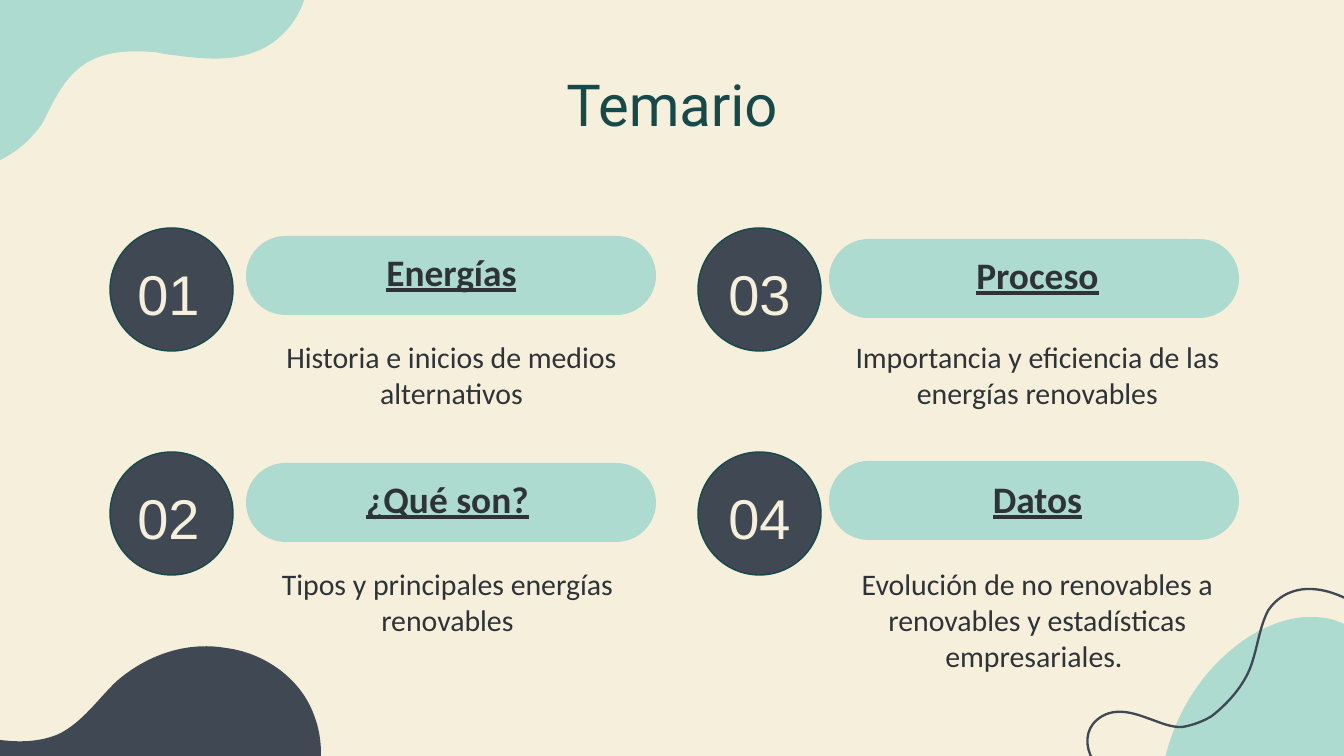
"""Build the "Temario" agenda slide: four numbered topics among organic blobs."""

from dataclasses import dataclass
from typing import Optional

from lxml.etree import SubElement
from pptx import Presentation
from pptx.dml.color import RGBColor
from pptx.enum.shapes import MSO_SHAPE as Preset
from pptx.enum.text import MSO_ANCHOR as Anchor, PP_ALIGN as Align
from pptx.oxml.ns import qn
from pptx.shapes.autoshape import Shape
from pptx.slide import Slide
from pptx.util import Emu, Pt

EMU_PER_PX = 914400 / 134.4

CREAM = RGBColor(0xF6, 0xEF, 0xDC)
MINT = RGBColor(0xAD, 0xDB, 0xD0)
SLATE = RGBColor(0x3F, 0x48, 0x53)
TEAL = RGBColor(0x16, 0x4A, 0x4A)
INK = RGBColor(0x2E, 0x33, 0x38)

BADGE_SIZE = 123
PILL_WIDTH, PILL_HEIGHT = 410, 79
TEXT_WIDTH, BODY_HEIGHT = 403, 75
NUMBER_WIDTH, NUMBER_HEIGHT = 99, 103


@dataclass(frozen=True)
class TextStyle:
    font: str
    size: int
    color: RGBColor
    bold: bool = False
    underline: bool = False
    anchor: Anchor = Anchor.TOP
    line_spacing: Optional[float] = None


@dataclass(frozen=True)
class Topic:
    number: str
    heading: str
    body: str
    badge: tuple[int, int]
    pill: tuple[int, int]
    number_left: int
    text_left: int
    heading_top: int
    body_top: int


@dataclass(frozen=True)
class Blob:
    """An outline of straight (x, y) and cubic (x1, y1, x2, y2, x, y) segments."""

    start: tuple[int, int]
    segments: tuple[tuple[int, ...], ...]
    color: RGBColor
    filled: bool = True


TITLE = TextStyle("Roboto", 31, TEAL)
NUMBER = TextStyle("Arial", 30, CREAM, anchor=Anchor.MIDDLE)
HEADING = TextStyle("Calibri", 20, INK, True, True, Anchor.MIDDLE, 0.8)
BODY = TextStyle("Calibri", 16, INK)

TOPICS = (
    Topic("01", "Energías", "Historia e inicios de medios alternativos",
          (110, 228), (246, 236), 119, 250, 236, 339),
    Topic("02", "¿Qué son?", "Tipos y principales energías renovables",
          (110, 452), (246, 463), 119, 246, 463, 566),
    Topic("03", "Proceso", "Importancia y eficiencia de las energías renovables",
          (698, 228), (829, 239), 710, 836, 239, 339),
    Topic("04", "Datos",
          "Evolución de no renovables a renovables y estadísticas empresariales. ",
          (698, 452), (829, 461), 710, 836, 463, 566),
)

BLOBS = (
    Blob((1313, 617), (
        (1312, 617, 1310, 617, 1309, 617),
        (1288, 617, 1266, 626, 1247, 638),
        (1204, 667, 1175, 712, 1164, 763),
        (1359, 763),
        (1374, 745, 1384, 724, 1386, 706),
        (1390, 659, 1360, 617, 1313, 617),
    ), MINT),
    Blob((314, 715), (
        (301, 679, 265, 653, 226, 648),
        (185, 641, 146, 656, 117, 681),
        (98, 699, 83, 722, 59, 734),
        (24, 749, -17, 738, -54, 728),
        (-73, 723, -94, 719, -113, 719),
        (-113, 789),
        (316, 789),
        (323, 763, 323, 738, 314, 715),
    ), SLATE),
    Blob((308, -28), (
        (306, -39, 304, -50, 298, -58),
        (255, -117, 172, -43, 122, -89),
        (99, -110, 93, -125, 55, -113),
        (24, -103, -1, -78, -7, -46),
        (-9, -30, -7, -12, -8, 5),
        (-8, 15, -9, 26, -15, 34),
        (-31, 60, -69, 65, -85, 91),
        (-101, 121, -75, 161, -43, 167),
        (-9, 172, 23, 151, 42, 124),
        (52, 105, 60, 85, 77, 70),
        (97, 52, 125, 50, 152, 52),
        (156, 52, 160, 53, 164, 54),
        (195, 58, 227, 63, 255, 52),
        (288, 40, 310, 5, 308, -28),
    ), MINT),
    Blob((1365, 609), (
        (1347, 598, 1329, 589, 1309, 589),
        (1292, 589, 1277, 597, 1268, 611),
        (1260, 627, 1258, 644, 1253, 660),
        (1247, 682, 1230, 702, 1212, 716),
        (1204, 721, 1194, 725, 1183, 727),
        (1171, 728, 1159, 722, 1147, 718),
        (1131, 712, 1112, 707, 1097, 720),
        (1085, 730, 1085, 747, 1093, 760),
        (1097, 766, 1103, 772, 1109, 778),
        (1117, 786, 1124, 796, 1128, 807),
        (1132, 822, 1132, 837, 1128, 853),
    ), SLATE, filled=False),
)


def px(length: float) -> Emu:
    return Emu(round(length * EMU_PER_PX))


def bend_segments(shape: Shape, segments: tuple[tuple[int, ...], ...]) -> None:
    """Turn the freeform's straight steps into cubic curves where a segment has handles."""
    steps = list(shape._element.iter(qn("a:lnTo")))
    for step, segment in zip(steps, segments):
        if len(segment) == 2:
            continue
        step.clear()
        curve = step.makeelement(qn("a:cubicBezTo"))
        for x, y in zip(segment[::2], segment[1::2]):
            SubElement(curve, qn("a:pt"), x=str(px(x) - shape.left), y=str(px(y) - shape.top))
        step.getparent().replace(step, curve)


def draw_blob(slide: Slide, blob: Blob) -> None:
    builder = slide.shapes.build_freeform(px(blob.start[0]), px(blob.start[1]))
    builder.add_line_segments([(px(segment[-2]), px(segment[-1])) for segment in blob.segments],
                              close=blob.filled)
    shape = builder.convert_to_shape()
    bend_segments(shape, blob.segments)
    shape.shadow.inherit = False
    if blob.filled:
        shape.fill.solid()
        shape.fill.fore_color.rgb = blob.color
        shape.line.fill.background()
    else:
        shape.fill.background()
        shape.line.color.rgb = blob.color
        shape.line.width = Pt(1.25)


def draw_preset(slide: Slide, preset: Preset, position: tuple[int, int],
                width: int, height: int, color: RGBColor) -> Shape:
    left, top = position
    shape = slide.shapes.add_shape(preset, px(left), px(top), px(width), px(height))
    shape.shadow.inherit = False
    shape.fill.solid()
    shape.fill.fore_color.rgb = color
    shape.line.fill.background()
    return shape


def draw_pill(slide: Slide, topic: Topic) -> None:
    pill = draw_preset(slide, Preset.ROUNDED_RECTANGLE, topic.pill,
                       PILL_WIDTH, PILL_HEIGHT, MINT)
    pill.adjustments[0] = 0.5


def draw_badge(slide: Slide, topic: Topic) -> None:
    badge = draw_preset(slide, Preset.OVAL, topic.badge, BADGE_SIZE, BADGE_SIZE, SLATE)
    badge.line.color.rgb = TEAL
    badge.line.width = Pt(0.75)


def draw_text(slide: Slide, text: str, left: int, top: int,
              width: int, height: int, style: TextStyle) -> None:
    frame = slide.shapes.add_textbox(px(left), px(top), px(width), px(height)).text_frame
    frame.margin_left = frame.margin_right = frame.margin_top = frame.margin_bottom = 0
    frame.word_wrap = True
    frame.vertical_anchor = style.anchor
    paragraph = frame.paragraphs[0]
    paragraph.text = text
    paragraph.alignment = Align.CENTER
    paragraph.line_spacing = style.line_spacing
    font = paragraph.font
    font.name, font.size = style.font, Pt(style.size)
    font.bold, font.underline = style.bold, style.underline
    font.color.rgb = style.color


def draw_topic_text(slide: Slide, topic: Topic) -> None:
    left = topic.text_left
    draw_text(slide, topic.heading, left, topic.heading_top, TEXT_WIDTH, PILL_HEIGHT, HEADING)
    draw_text(slide, topic.body, left, topic.body_top, TEXT_WIDTH, BODY_HEIGHT, BODY)
    draw_text(slide, topic.number, topic.number_left, topic.badge[1] + 14,
              NUMBER_WIDTH, NUMBER_HEIGHT, NUMBER)


def main() -> None:
    presentation = Presentation()
    presentation.slide_width, presentation.slide_height = px(1344), px(756)
    slide = presentation.slides.add_slide(presentation.slide_layouts[6])
    slide.background.fill.solid()
    slide.background.fill.fore_color.rgb = CREAM
    for blob in BLOBS:
        draw_blob(slide, blob)
    for draw_shape in (draw_pill, draw_badge):
        for topic in reversed(TOPICS):
            draw_shape(slide, topic)
    draw_text(slide, "Temario", 105, 69, 1134, 67, TITLE)
    for topic in TOPICS:
        draw_topic_text(slide, topic)
    presentation.save("out.pptx")


if __name__ == "__main__":
    main()
